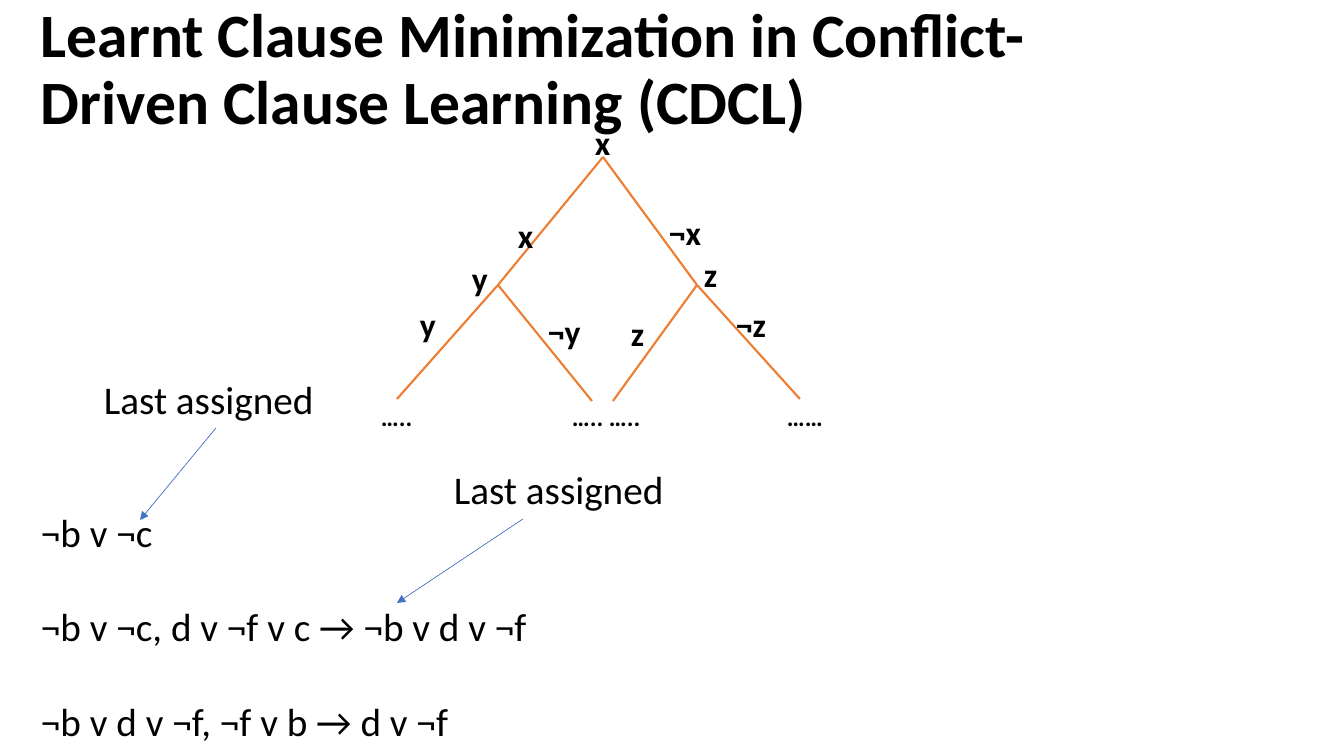
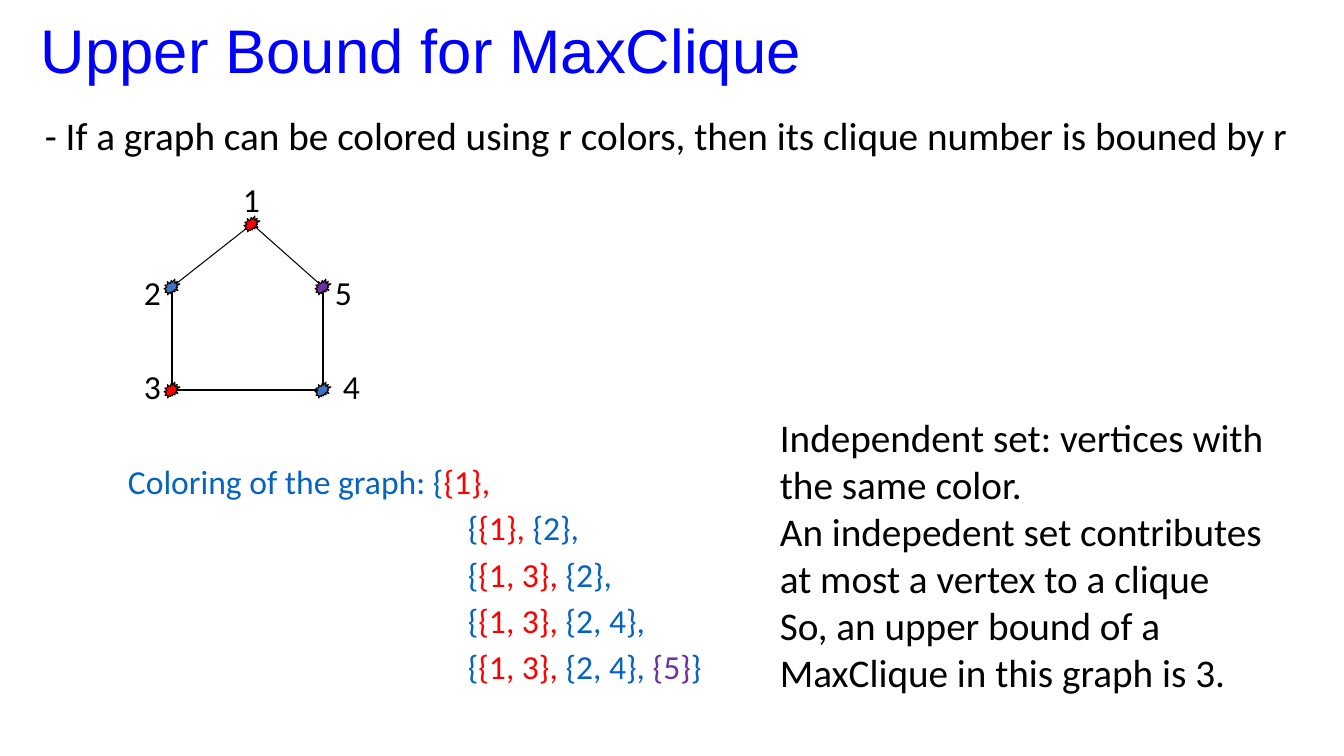
import dataclasses

import lxml.etree
import pptx
import pptx.dml.color
import pptx.enum.shapes
import pptx.enum.text
import pptx.oxml.ns
import pptx.util

PIXELS_PER_INCH = 100.8


@dataclasses.dataclass(frozen=True)
class Theme:
    body_font: str = "Calibri"
    heading_font: str = "Arial"
    black: str = "000000"
    heading_blue: str = "0000FF"
    text_blue: str = "0563C1"
    shape_blue: str = "4472C4"
    red: str = "FF0000"
    purple: str = "7030A0"
    orange: str = "ED7D31"
    title_size: int = 44
    body_size: int = 28
    label_size: int = 24
    leaf_size: int = 18


THEME = Theme()


def px(pixels):
    return pptx.util.Emu(round(pixels * 914400 / PIXELS_PER_INCH))


def rgb(colour):
    return pptx.dml.color.RGBColor.from_string(colour)


# Elements
def add_text(page, frame, paragraphs, size=THEME.body_size, bold=False,
             font=THEME.body_font, colour=THEME.black, gap=0):
    """Each paragraph is a string or a list of (text, colour) pieces."""
    box = page.shapes.add_textbox(*map(px, frame))
    box.text_frame.word_wrap = True
    for index, content in enumerate(paragraphs):
        if index == 0:
            para = box.text_frame.paragraphs[0]
        else:
            para = box.text_frame.add_paragraph()
            para.space_before = pptx.util.Pt(gap)
        pieces = [(content, colour)] if isinstance(content, str) else content
        for text, piece_colour in pieces:
            span = para.add_run()
            span.text = text
            span.font.name = font
            span.font.size = pptx.util.Pt(size)
            span.font.bold = bold
            span.font.color.rgb = rgb(piece_colour)
    return box


def add_title(page, text, top, height, **style):
    box = add_text(page, (31, top, 1159, height), [text],
                   size=THEME.title_size, **style)
    box.text_frame.vertical_anchor = pptx.enum.text.MSO_ANCHOR.MIDDLE
    box.text_frame.paragraphs[0].line_spacing = 0.9


def add_labels(page, labels, size=THEME.label_size, bold=False):
    for text, left, top in labels:
        add_text(page, (left, top, 60, 50), [text], size=size, bold=bold)


def add_line(page, start, end, colour, width, arrow=False):
    line = page.shapes.add_connector(
        pptx.enum.shapes.MSO_CONNECTOR.STRAIGHT, *map(px, (*start, *end)))
    line.line.color.rgb = rgb(colour)
    line.line.width = pptx.util.Pt(width)
    if arrow:
        lxml.etree.SubElement(line.line._get_or_add_ln(),
                              pptx.oxml.ns.qn("a:tailEnd"), type="triangle")
    lxml.etree.SubElement(line._element.spPr, pptx.oxml.ns.qn("a:effectLst"))


def add_vertex(page, centre, colour, size=16):
    x, y = centre
    seal = page.shapes.add_shape(
        pptx.enum.shapes.MSO_SHAPE.EXPLOSION2,
        px(x - size / 2), px(y - size / 2), px(size), px(size))
    seal.shadow.inherit = False
    seal.fill.solid()
    seal.fill.fore_color.rgb = rgb(colour)
    seal.line.color.rgb = rgb(THEME.black)
    seal.line.width = pptx.util.Pt(0.75)


def add_callout(page, left, top, start, end):
    add_text(page, (left, top, 243, 57), ["Last assigned"])
    add_line(page, start, end, THEME.shape_blue, 0.5, arrow=True)


# Slides
def build_clause_page(page):
    add_title(page, "Learnt Clause Minimization in Conflict-Driven "
              "Clause Learning (CDCL)", -2, 146, bold=True)

    # Search tree
    root, left_node, right_node = (603, 157), (498, 285), (697, 285)
    branches = {
        root: (left_node, right_node),
        left_node: ((397, 399), (592, 401)),
        right_node: ((613, 401), (800, 399)),
    }
    for parent, children in branches.items():
        for child in children:
            add_line(page, parent, child, THEME.orange, 1.5)
    add_labels(page, [
        ("x", 585, 117), ("y", 462, 253), ("z", 694, 249),
        ("x", 508, 210), ("¬x", 659, 207),
        ("y", 410, 299), ("¬y", 538, 306),
        ("z", 621, 308), ("¬z", 726, 299),
    ], bold=True)
    add_labels(page, [("…..", 371, 396), ("…..", 562, 396),
                      ("…..", 599, 396), ("……", 777, 396)],
               size=THEME.leaf_size, bold=True)

    # Resolution steps
    add_text(page, (31, 503, 1280, 248), [
        "¬b v ¬c",
        "¬b v ¬c, d v ¬f v c → ¬b v d v ¬f",
        "¬b v d v ¬f, ¬f v b → d v ¬f",
    ], gap=34)
    add_callout(page, 94, 370, (216, 428), (140, 520))
    add_callout(page, 444, 460, (523, 519), (397, 603))


def build_clique_page(page):
    add_title(page, "Upper Bound for MaxClique", -1, 109,
              font=THEME.heading_font, colour=THEME.heading_blue)
    add_text(page, (35, 106, 1277, 57), [
        "- If a graph can be colored using r colors, "
        "then its clique number is bouned by r"])

    # Five-vertex cycle
    vertices = [
        ((252, 224), THEME.red), ((172, 287), THEME.shape_blue),
        ((172, 390), THEME.red), ((323, 390), THEME.shape_blue),
        ((323, 287), THEME.purple),
    ]
    centres = [centre for centre, _ in vertices]
    for start, end in zip(centres, centres[1:] + centres[:1]):
        add_line(page, start, end, THEME.black, 0.75)
    for centre, colour in vertices:
        add_vertex(page, centre, colour)
    add_labels(page, [("1", 233, 174), ("2", 134, 267), ("3", 134, 361),
                      ("4", 333, 361), ("5", 325, 267)])

    # Coloring steps
    blue, red, purple = THEME.text_blue, THEME.red, THEME.purple
    steps = [
        [("Coloring of the graph: {", blue), ("{1},", red)],
        [("{", blue), ("{1}, ", red), ("{2},", blue)],
        [("{", blue), ("{1, 3}, ", red), ("{2},", blue)],
        [("{", blue), ("{1, 3}, ", red), ("{2, 4},", blue)],
        [("{", blue), ("{1, 3}, ", red), ("{2, 4}, ", blue),
         ("{5}", purple), ("}", blue)],
    ]
    coloring = add_text(page, (118, 456, 650, 245), steps,
                        size=THEME.label_size, gap=4.3)
    for para in coloring.text_frame.paragraphs[1:]:
        para._p.get_or_add_pPr().set("marL", str(px(340)))

    # Conclusion
    add_text(page, (770, 408, 537, 295), [
        "Independent set: vertices with the same color.",
        "An indepedent set contributes at most a vertex to a clique",
        "So, an upper bound of a MaxClique in this graph is 3.",
    ])


def main():
    deck = pptx.Presentation()
    deck.slide_width, deck.slide_height = px(1344), px(756)
    for build in (build_clause_page, build_clique_page):
        build(deck.slides.add_slide(deck.slide_layouts[6]))
    deck.save("out.pptx")


main()
